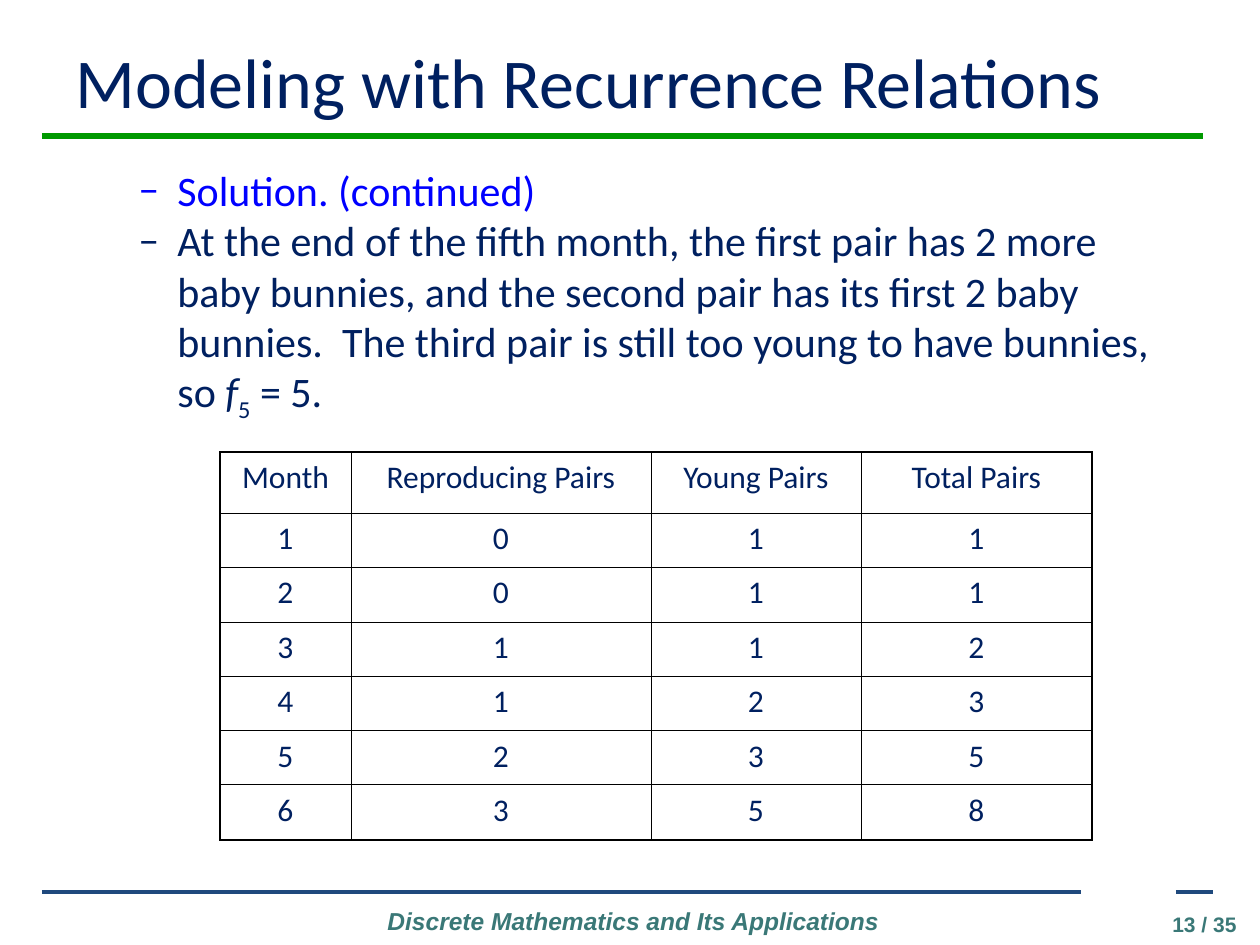
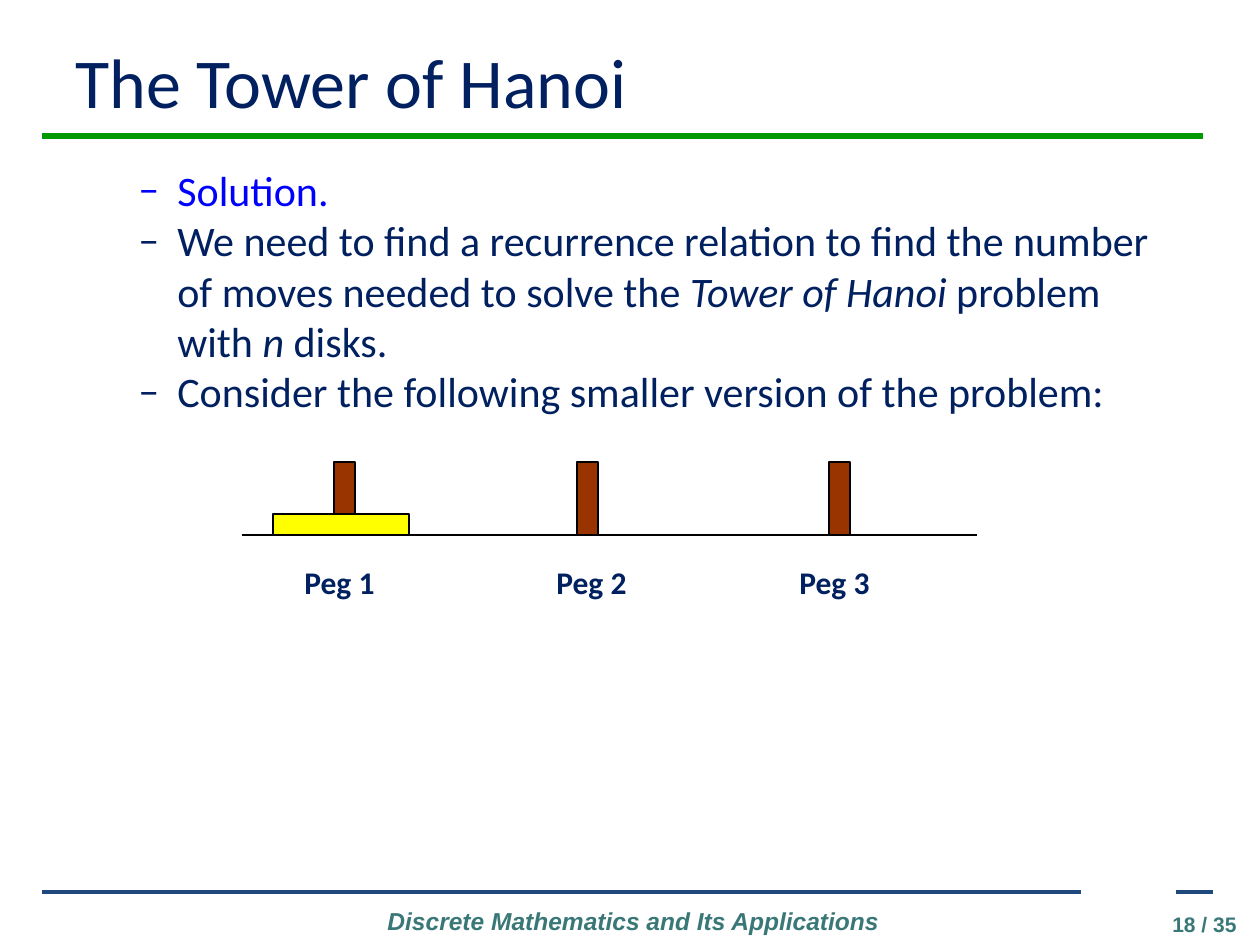
from dataclasses import dataclass

from lxml.etree import SubElement
from pptx import Presentation
from pptx.dml.color import RGBColor
from pptx.enum.shapes import MSO_CONNECTOR, MSO_SHAPE
from pptx.enum.text import MSO_ANCHOR, PP_ALIGN
from pptx.oxml import parse_xml
from pptx.oxml.ns import nsdecls, qn
from pptx.util import Pt


@dataclass(frozen=True)
class Theme:
    navy: str = "002060"
    blue: str = "0000FF"
    green: str = "009900"
    steel: str = "1F497D"
    teal: str = "3A7877"
    black: str = "000000"
    brown: str = "993300"
    yellow: str = "FFFF00"
    text_font: str = "Calibri"
    footer_font: str = "Arial"
    title_size: int = 40
    body_size: int = 24
    label_size: int = 18
    footer_size: int = 14
    page_size: int = 12
    thin: float = 0.45
    thick: float = 1.08
    outline: float = 0.75


theme = Theme()
PX = 914400 / 126


def add_text(slide, box, paragraphs, size, color=theme.navy, font=theme.text_font,
             align=PP_ALIGN.LEFT, anchor=MSO_ANCHOR.TOP, wrap=True):
    shape = slide.shapes.add_textbox(*(round(length * PX) for length in box))
    frame = shape.text_frame
    frame.word_wrap = wrap
    frame.vertical_anchor = anchor
    for index, runs in enumerate(paragraphs):
        paragraph = frame.paragraphs[0] if index == 0 else frame.add_paragraph()
        paragraph.alignment = align
        for text, style in runs:
            run = paragraph.add_run()
            run.text = text
            run.font.name = font
            run.font.size = Pt(size)
            run.font.bold = "bold" in style
            run.font.italic = "italic" in style
            run.font.color.rgb = RGBColor.from_string(theme.blue if "blue" in style else color)
            if "subscript" in style:
                run._r.get_or_add_rPr().set("baseline", "-25000")
    return frame


def add_line(slide, left, right, top, color, width):
    line = slide.shapes.add_connector(
        MSO_CONNECTOR.STRAIGHT, *(round(length * PX) for length in (left, top, right, top)))
    line.line.color.rgb = RGBColor.from_string(color)
    line.line.width = Pt(width)
    SubElement(line._element.spPr, qn("a:effectLst"))


presentation = Presentation()
presentation.slide_width = round(1260 * PX)
presentation.slide_height = round(945 * PX)

contents = [
    ("Modeling with Recurrence Relations", "13 / 35", [
        [("Solution. (continued)", "blue")],
        [("At the end of the fifth month, the first pair has 2 more baby bunnies, and the "
          "second pair has its first 2 baby bunnies.  The third pair is still too young to "
          "have bunnies, so ", ""),
         ("f", "italic"), ("5", "subscript"), (" = 5.", "")],
    ]),
    ("The Tower of Hanoi", "18 / 35", [
        [("Solution.", "blue")],
        [("We need to find a recurrence relation to find the number of moves needed to "
          "solve the ", ""),
         ("Tower of Hanoi", "italic"), (" problem with ", ""), ("n", "italic"), (" disks.", "")],
        [("Consider the following smaller version of the problem:", "")],
    ]),
]

slides = []
for title, page, bullets in contents:
    slide = presentation.slides.add_slide(presentation.slide_layouts[6])
    slides.append(slide)
    add_line(slide, 42, 1203, 136, theme.green, 3)
    add_line(slide, 42, 1081, 892, theme.steel, 2.25)
    add_line(slide, 1176, 1213, 892, theme.steel, 2.25)
    add_text(slide, (357, 900, 553, 43),
             [[("Discrete Mathematics and Its Applications", "bold italic")]],
             theme.footer_size, theme.teal, theme.footer_font, PP_ALIGN.CENTER)
    add_text(slide, (1120, 905, 129, 30), [[(page, "bold")]],
             theme.page_size, theme.teal, theme.footer_font, PP_ALIGN.RIGHT)
    add_text(slide, (63, 32, 1134, 97), [[(title, "")]],
             theme.title_size, anchor=MSO_ANCHOR.MIDDLE)
    body = add_text(slide, (63, 158, 1134, 270), bullets, theme.body_size)
    for index, paragraph in enumerate(body.paragraphs):
        properties = paragraph._p.get_or_add_pPr()
        properties.set("lvl", "1")
        properties.set("marL", str(round(102 * PX)))
        properties.set("indent", str(round(-39 * PX)))
        bullet_color = SubElement(properties, qn("a:buClr"))
        SubElement(bullet_color, qn("a:srgbClr"), val=theme.navy if index else theme.blue)
        SubElement(properties, qn("a:buFont"), typeface=theme.text_font)
        SubElement(properties, qn("a:buChar"), char="–")

rabbit_slide, hanoi_slide = slides

rabbit_rows = [
    ("Month", "Reproducing Pairs", "Young Pairs", "Total Pairs"),
    (1, 0, 1, 1),
    (2, 0, 1, 1),
    (3, 1, 1, 2),
    (4, 1, 2, 3),
    (5, 2, 3, 5),
    (6, 3, 5, 8),
]
column_widths = [131, 300, 210, 231]
row_heights = [61] + [54, 55] * 3
table = rabbit_slide.shapes.add_table(
    len(row_heights), len(column_widths),
    *(round(length * PX) for length in (220, 452, sum(column_widths), sum(row_heights)))).table
table.first_row = False
table.horz_banding = False
for column, width in zip(table.columns, column_widths):
    column.width = round(width * PX)
for row, height in zip(table.rows, row_heights):
    row.height = round(height * PX)
for row_index, values in enumerate(rabbit_rows):
    for column_index, value in enumerate(values):
        cell = table.cell(row_index, column_index)
        cell.fill.background()
        paragraph = cell.text_frame.paragraphs[0]
        paragraph.alignment = PP_ALIGN.CENTER
        run = paragraph.add_run()
        run.text = str(value)
        run.font.name = theme.text_font
        run.font.size = Pt(theme.label_size)
        run.font.color.rgb = RGBColor.from_string(theme.navy)
        outer_edges = {
            "lnL": column_index == 0,
            "lnR": column_index == len(column_widths) - 1,
            "lnT": row_index == 0,
            "lnB": row_index == len(row_heights) - 1,
        }
        for position, (edge, is_outer) in enumerate(outer_edges.items()):
            width = Pt(theme.thick if is_outer else theme.thin)
            cell._tc.get_or_add_tcPr().insert(position, parse_xml(
                f'<a:{edge} {nsdecls("a")} w="{width}"><a:solidFill>'
                f'<a:srgbClr val="{theme.black}"/></a:solidFill></a:{edge}>'))

pegs_and_disk = [
    (334, 462, 21, 73, theme.brown),
    (273, 514, 136, 21, theme.yellow),
    (577, 462, 21, 73, theme.brown),
    (829, 462, 21, 73, theme.brown),
]
for *box, color in pegs_and_disk:
    block = hanoi_slide.shapes.add_shape(
        MSO_SHAPE.RECTANGLE, *(round(length * PX) for length in box))
    block.shadow.inherit = False
    block.fill.solid()
    block.fill.fore_color.rgb = RGBColor.from_string(color)
    block.line.color.rgb = RGBColor.from_string(theme.black)
    block.line.width = Pt(theme.outline)
add_line(hanoi_slide, 242, 977, 535, theme.black, theme.outline)
for number, left in enumerate((292, 544, 787), start=1):
    add_text(hanoi_slide, (left, 557, 96, 50), [[(f"Peg {number}", "bold")]],
             theme.label_size, wrap=False)

presentation.save("out.pptx")
